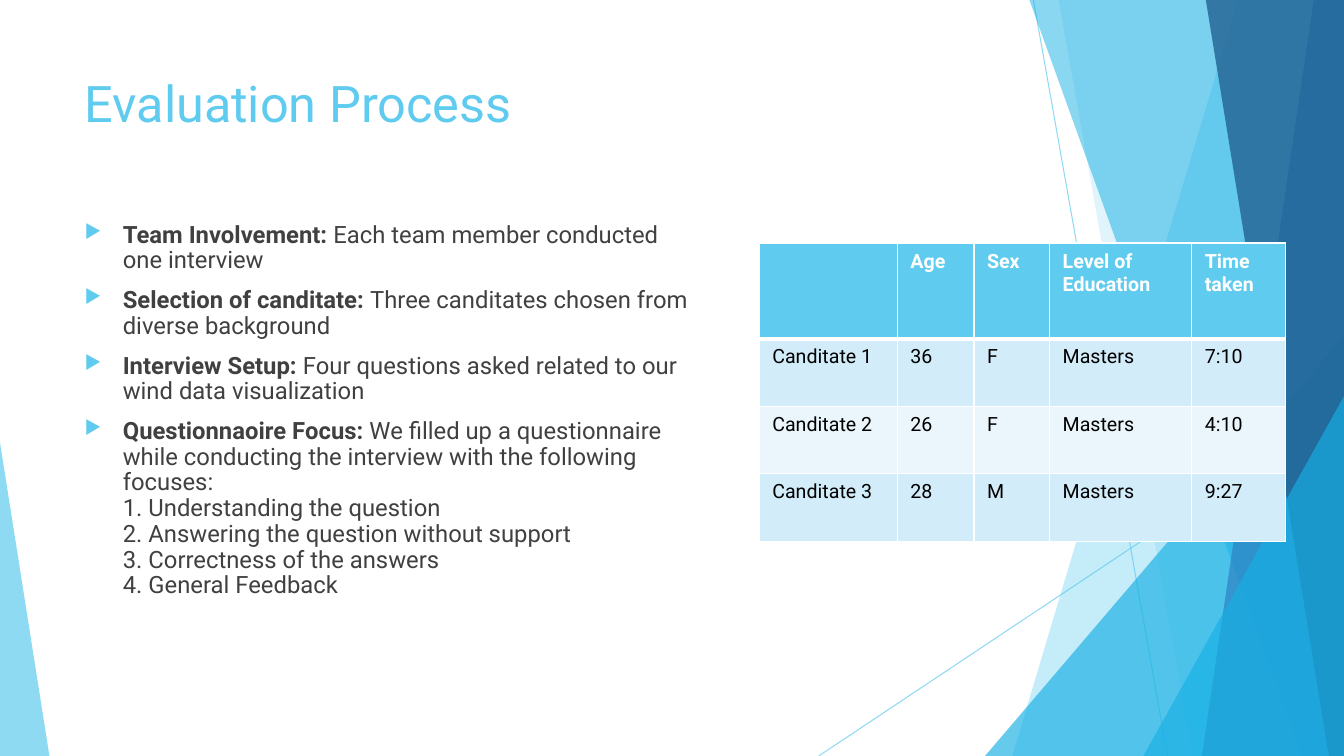
import pptx
import pptx.dml.color
import pptx.enum.shapes
import pptx.enum.text
import pptx.oxml
import pptx.oxml.ns
import pptx.util
from pptx.util import Inches

FONT = "Roboto"
COLORS = {
    "sky": "5FCBEF", "cyan": "17B0E4", "blue": "2E83C3", "navy": "226292",
    "text": "404040", "black": "000000", "white": "FFFFFF",
    "band": "D2ECF9", "light": "EAF6FC",
}
POINTS = [
    ("Team Involvement: ", ["Each team member conducted one interview"]),
    ("Selection of canditate: ", ["Three canditates chosen from diverse background"]),
    ("Interview Setup: ", ["Four questions asked related to our wind data visualization"]),
    ("Questionnaoire Focus: ", [
        "We filled up a questionnaire while conducting the interview with the following focuses:",
        "1. Understanding the question",
        "2. Answering the question without support",
        "3. Correctness of the answers",
        "4. General Feedback",
    ]),
]
CANDIDATES = [
    ["", "Age", "Sex", "Level of Education", "Time taken"],
    ["Canditate 1", "36", "F", "Masters", "7:10"],
    ["Canditate 2", "26", "F", "Masters", "4:10"],
    ["Canditate 3", "28", "M", "Masters", "9:27"],
]


def rgb(name):
    """Return the named colour."""
    return pptx.dml.color.RGBColor.from_string(COLORS[name])


def add_element(parent, xml):
    """Append a drawing element written as XML and return it."""
    namespace = pptx.oxml.ns.nsdecls("a")
    element = pptx.oxml.parse_xml(xml.replace(">", f" {namespace}>", 1)
                                  if "/>" not in xml.split(">")[0] + ">"
                                  else xml.replace("/>", f" {namespace}/>", 1))
    parent.append(element)
    return element


def set_opacity(fill_parent, percent):
    """Make the solid colour inside an element partly transparent."""
    color = next(fill_parent.iter(pptx.oxml.ns.qn("a:srgbClr")))
    add_element(color, f'<a:alpha val="{percent * 1000}"/>')


def paint(shape, color, opacity):
    """Give a shape a transparent fill without line or shadow."""
    shape.shadow.inherit = False
    shape.fill.solid()
    shape.fill.fore_color.rgb = rgb(color)
    shape.line.fill.background()
    set_opacity(shape._element.spPr, opacity)


def add_ray(page, start, end):
    """Draw a thin transparent line between two points."""
    ray = page.shapes.add_connector(
        pptx.enum.shapes.MSO_CONNECTOR.STRAIGHT,
        *[Inches(value) for value in start + end])
    ray.line.color.rgb = rgb("sky")
    ray.line.width = pptx.util.Pt(0.75)
    set_opacity(ray._element.spPr, 70)
    add_element(ray._element.spPr, "<a:effectLst/>")


def add_facet(page, box, top_x, bottom_x, color, opacity):
    """Fill the panel to the right of a slanted edge."""
    left, top, width, height = box
    right, bottom = left + width, top + height
    corners = [(left + top_x, top), (right, top), (right, bottom), (left + bottom_x, bottom)]
    corners = [(Inches(x), Inches(y)) for x, y in corners]
    builder = page.shapes.build_freeform(*corners[0], scale=1.0)
    builder.add_line_segments(corners[1:], close=True)
    paint(builder.convert_to_shape(), color, opacity)


def add_corner(page, box, apex, color, opacity):
    """Draw a right triangle whose apex is at the left (0) or right (1)."""
    corner = page.shapes.add_shape(
        pptx.enum.shapes.MSO_SHAPE.ISOSCELES_TRIANGLE, *[Inches(value) for value in box])
    corner.adjustments[0] = apex
    paint(corner, color, opacity)


def add_right_panel(page, box):
    """Build the layered facets along the right edge."""
    left, top, width, height = box
    right, bottom = left + width, top + height

    def add_right_corner(corner_width, corner_height, opacity):
        """Place a triangle in the lower right corner of the panel."""
        add_corner(page, (right - corner_width, bottom - corner_height,
                          corner_width, corner_height), 1, "cyan", opacity)

    add_ray(page, (left + 2.25, top), (left + 3.58, bottom))
    add_ray(page, (right, top + 4.03), (left + 0.12, bottom))
    add_facet(page, box, 4.28, 2.04, "sky", 36)
    add_facet(page, box, 2.5, 3.83, "sky", 20)
    add_right_corner(3.56, 4.17, 66)
    add_facet(page, box, 2.21, 4.91, "cyan", 50)
    add_facet(page, box, 5.03, 3.92, "blue", 70)
    add_facet(page, box, 3.96, 5.18, "navy", 80)
    add_right_corner(1.99, 3.57, 66)


def style_font(font, size, color):
    """Set the typeface, size and colour of a font."""
    font.name = FONT
    font.size = pptx.util.Pt(size)
    font.color.rgb = rgb(color)


def add_title(page, box, text):
    """Place and format the title placeholder."""
    title = page.shapes.title
    title.left, title.top, title.width, title.height = [Inches(value) for value in box]
    title.text_frame.text = text
    title.text_frame.vertical_anchor = pptx.enum.text.MSO_ANCHOR.TOP
    para = title.text_frame.paragraphs[0]
    para.alignment = pptx.enum.text.PP_ALIGN.LEFT
    style_font(para.font, 36, "sky")


def add_points(page, box):
    """Write the bulleted points with bold lead-ins."""
    frame = page.shapes.add_textbox(*[Inches(value) for value in box]).text_frame
    frame.word_wrap = True
    for index, (lead, lines) in enumerate(POINTS):
        para = frame.add_paragraph() if index else frame.paragraphs[0]
        para.line_spacing = 0.9
        para.space_before = pptx.util.Pt(10)
        properties = para._p.get_or_add_pPr()
        properties.set("marL", str(Inches(0.38)))
        properties.set("indent", str(Inches(-0.38)))
        add_element(properties, f'<a:buClr><a:srgbClr val="{COLORS["sky"]}"/></a:buClr>')
        add_element(properties, '<a:buSzPct val="80000"/>')
        add_element(properties, '<a:buChar char="▶"/>')
        style_font(para.font, 17, "text")
        span = para.add_run()
        span.text = lead
        span.font.bold = True
        for number, line in enumerate(lines):
            if number:
                para.add_line_break()
            para.add_run().text = line


def add_borders(cell, bottom_width):
    """Draw white borders around a table cell."""
    properties = cell._tc.get_or_add_tcPr()
    for position, side in enumerate("LRTB"):
        width = pptx.util.Pt(bottom_width if side == "B" else 1)
        border = add_element(
            properties,
            f'<a:ln{side} w="{width}"><a:solidFill><a:srgbClr val="{COLORS["white"]}"/>'
            f'</a:solidFill></a:ln{side}>')
        properties.insert(position, border)


def add_candidates(page, box):
    """Build the table of interviewed candidates."""
    table = page.shapes.add_table(
        len(CANDIDATES), len(CANDIDATES[0]), *[Inches(value) for value in box]).table
    for column, width in zip(table.columns, [1.37, 0.76, 0.75, 1.41, 0.93]):
        column.width = Inches(width)
    for index, values in enumerate(CANDIDATES):
        header = index == 0
        table.rows[index].height = Inches(0.95 if header else 0.67)
        fill = "sky" if header else "band" if index % 2 else "light"
        for cell, value in zip(table.rows[index].cells, values):
            cell.text = value
            cell.margin_left = cell.margin_right = Inches(0.13)
            cell.margin_top = cell.margin_bottom = Inches(0.07)
            cell.fill.solid()
            cell.fill.fore_color.rgb = rgb(fill)
            add_borders(cell, 3 if header else 1)
            font = cell.text_frame.paragraphs[0].font
            style_font(font, 14, "white" if header else "black")
            font.bold = header


def main():
    """Build and save the slide."""
    deck = pptx.Presentation()
    deck.slide_width, deck.slide_height = Inches(13.33), Inches(7.5)
    page = deck.slides.add_slide(deck.slide_layouts[5])
    add_right_panel(page, (8, 0, 5.33, 7.5))
    add_corner(page, (0, 4.39, 0.49, 3.11), 0, "sky", 70)
    add_title(page, (0.74, 0.67, 9.4, 1.44), "Evaluation Process")
    add_points(page, (0.74, 2.16, 6.27, 4.68))
    add_candidates(page, (7.53, 2.41, 5.22, 2.96))
    deck.save("out.pptx")


if __name__ == "__main__":
    main()
